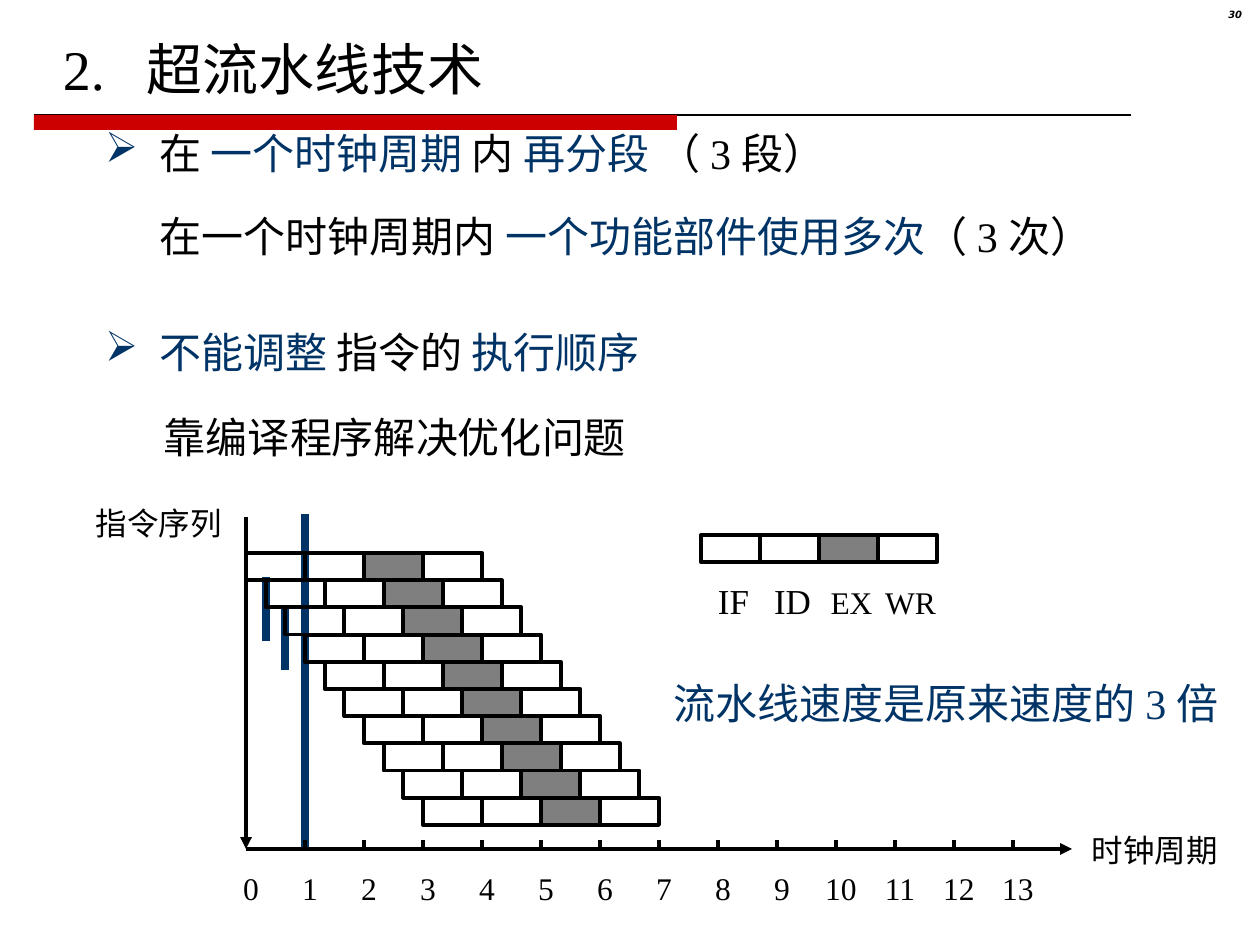
from dataclasses import dataclass

from lxml.etree import SubElement
from pptx import Presentation
from pptx.dml.color import RGBColor
from pptx.enum.shapes import MSO_CONNECTOR, MSO_SHAPE
from pptx.enum.text import MSO_ANCHOR, PP_ALIGN
from pptx.oxml.ns import qn
from pptx.util import Emu, Pt

PX = 914400 / 126


@dataclass(frozen=True)
class Theme:
    black: RGBColor = RGBColor(0x00, 0x00, 0x00)
    navy: RGBColor = RGBColor(0x00, 0x33, 0x66)
    red: RGBColor = RGBColor(0xCC, 0x00, 0x00)
    font: str = "Times New Roman"
    number_font: str = "DejaVu Sans"
    title: float = 32
    body: float = 24
    stage: float = 20
    label: float = 18
    page_number: float = 5.7
    thin: float = 0.75
    outline: float = 2.25
    marker: float = 4.5


THEME = Theme()
BLACK, NAVY = THEME.black, THEME.navy

# left, top, width, bulleted, coloured pieces
STATEMENTS = [
    (105, 116, 951, True, [("在 ", BLACK), ("一个时钟周期 ", NAVY), ("内 ", BLACK),
                           ("再分段", NAVY), (" （ 3 段）", BLACK)]),
    (105, 315, 951, True, [("不能调整 ", NAVY), ("指令的 ", BLACK), ("执行顺序", NAVY)]),
    (160, 199, 1092, False, [("在一个时钟周期内 ", BLACK), ("一个功能部件使用多次", NAVY),
                             ("（ 3 次）", BLACK)]),
    (164, 400, 599, False, [("靠编译程序解决优化问题", BLACK)]),
]
STAGES = [("IF", THEME.stage), ("ID", THEME.stage), ("EX", THEME.label), ("WR", THEME.label)]
EXECUTE = 2
INSTRUCTIONS = 10
CYCLES = 13
SUBCYCLES = 3

ORIGIN_X, AXIS_Y = 246, 849
CYCLE = 59
SHIFT = CYCLE / SUBCYCLES
FIRST_ROW, LAST_ROW_END = 553, 825
ROW = (LAST_ROW_END - FIRST_ROW) / INSTRUCTIONS
LEGEND_X, LEGEND_Y = 701, 535
MARKERS = [(3, 514, 848), (1, 577, 641), (2, 609, 670)]  # subcycle, top, bottom


def px(value):
    return Emu(round(value * PX))


def add_line(slide, start, end, color, weight, arrow=False):
    line = slide.shapes.add_connector(MSO_CONNECTOR.STRAIGHT, *map(px, (*start, *end)))
    line.line.color.rgb = color
    line.line.width = Pt(weight)
    properties = line._element.spPr
    if arrow:
        SubElement(properties.find(qn("a:ln")), qn("a:tailEnd"), type="triangle")
    SubElement(properties, qn("a:effectLst"))


def add_text(slide, area, pieces, inset=13, middle=False, tabs=(), bulleted=False):
    """Add one paragraph; pieces are (text, size, colour), tabs are (position, alignment)."""
    box = slide.shapes.add_textbox(*map(px, area))
    frame = box.text_frame
    frame.word_wrap = True
    frame.margin_left, frame.margin_right = px(inset), 0
    frame.margin_top = frame.margin_bottom = px(6)
    if middle:
        frame.vertical_anchor = MSO_ANCHOR.MIDDLE
    para = frame.paragraphs[0]
    properties = para._p.get_or_add_pPr()
    if bulleted:
        properties.set("marL", str(px(54)))
        properties.set("indent", str(-px(54)))
        color = SubElement(properties, qn("a:buClr"))
        SubElement(color, qn("a:srgbClr"), val=str(NAVY))
        SubElement(properties, qn("a:buChar"), char="➢")
    if tabs:
        tab_list = SubElement(properties, qn("a:tabLst"))
        for position, alignment in tabs:
            SubElement(tab_list, qn("a:tab"), pos=str(px(position)), algn=alignment)
    for text, size, color in pieces:
        span = para.add_run()
        span.text = text
        span.font.name = THEME.font
        span.font.size = Pt(size)
        span.font.color.rgb = color
    return box


def add_header(slide):
    add_line(slide, (34, 115), (1131, 115), BLACK, THEME.thin)
    bar = slide.shapes.add_shape(MSO_SHAPE.RECTANGLE, *map(px, (34, 115, 643, 15)))
    bar.shadow.inherit = False
    bar.fill.solid()
    bar.fill.fore_color.rgb = THEME.red
    bar.line.fill.background()

    number = add_text(slide, (1181, 6, 74, 29), [("30", THEME.page_number, BLACK)])
    number.text_frame.margin_right = px(13)
    para = number.text_frame.paragraphs[0]
    para.alignment = PP_ALIGN.RIGHT
    para.line_spacing = 0.8
    font = para.runs[0].font
    font.name, font.bold, font.italic = THEME.number_font, True, True

    add_text(slide, (63, 32, 606, 73), [("2.\t超流水线技术", THEME.title, BLACK)],
             inset=0, middle=True, tabs=[(84, "l")])


def add_instruction(slide, left, top):
    """Draw one instruction as a row of stage cells, the execute stage shaded."""
    for stage in range(len(STAGES)):
        area = (left + stage * CYCLE, top, CYCLE, ROW)
        cell = slide.shapes.add_shape(MSO_SHAPE.RECTANGLE, *map(px, area))
        cell.shadow.inherit = False
        cell.line.color.rgb = BLACK
        cell.line.width = Pt(THEME.outline)
        if stage == EXECUTE:
            cell.fill.solid()
            cell.fill.fore_color.rgb = BLACK
            shade = cell._element.spPr.find(qn("a:solidFill"))[0]
            SubElement(shade, qn("a:alpha"), val="50000")
        else:
            cell.fill.background()


def add_diagram(slide):
    for subcycle, top, bottom in MARKERS:
        x = ORIGIN_X + subcycle * SHIFT
        add_line(slide, (x, top), (x, bottom), NAVY, THEME.marker)
    for index in range(INSTRUCTIONS):
        add_instruction(slide, ORIGIN_X + index * SHIFT, FIRST_ROW + index * ROW)

    add_instruction(slide, LEGEND_X, LEGEND_Y)
    stage_tabs = [((stage + 0.5) * CYCLE + 3, "ctr") for stage in range(len(STAGES))]
    add_text(slide, (LEGEND_X, 573, 260, 55),
             [("\t" + name, size, BLACK) for name, size in STAGES], inset=0, tabs=stage_tabs)

    origin = (ORIGIN_X, AXIS_Y)
    add_line(slide, (ORIGIN_X, 517), origin, BLACK, THEME.outline, arrow=True)
    add_line(slide, origin, (1072, AXIS_Y), BLACK, THEME.outline, arrow=True)
    for cycle in range(1, CYCLES + 1):
        x = ORIGIN_X + cycle * CYCLE
        add_line(slide, (x, AXIS_Y - 9), (x, AXIS_Y), BLACK, THEME.outline)
    labels_left = 234
    cycle_tabs = [(ORIGIN_X - labels_left + cycle * CYCLE + 5, "ctr")
                  for cycle in range(CYCLES + 1)]
    numbers = "".join(f"\t{cycle}" for cycle in range(CYCLES + 1))
    add_text(slide, (labels_left, 863, 830, 50), [(numbers, THEME.label, BLACK)],
             inset=0, tabs=cycle_tabs)
    for left, top, name in [(1079, 825, "时钟周期"), (83, 498, "指令序列")]:
        add_text(slide, (left, top, 180, 50), [(name, THEME.label, BLACK)])


def main():
    deck = Presentation()
    deck.slide_width, deck.slide_height = px(1260), px(945)
    slide = deck.slides.add_slide(deck.slide_layouts[6])
    add_header(slide)
    for left, top, width, bulleted, pieces in STATEMENTS:
        sized = [(text, THEME.body, color) for text, color in pieces]
        add_text(slide, (left, top, width, 73), sized, inset=0, middle=True, bulleted=bulleted)
    add_text(slide, (661, 672, 640, 63), [("流水线速度是原来速度的 3 倍", THEME.body, NAVY)])
    add_diagram(slide)
    deck.save("out.pptx")


if __name__ == "__main__":
    main()
